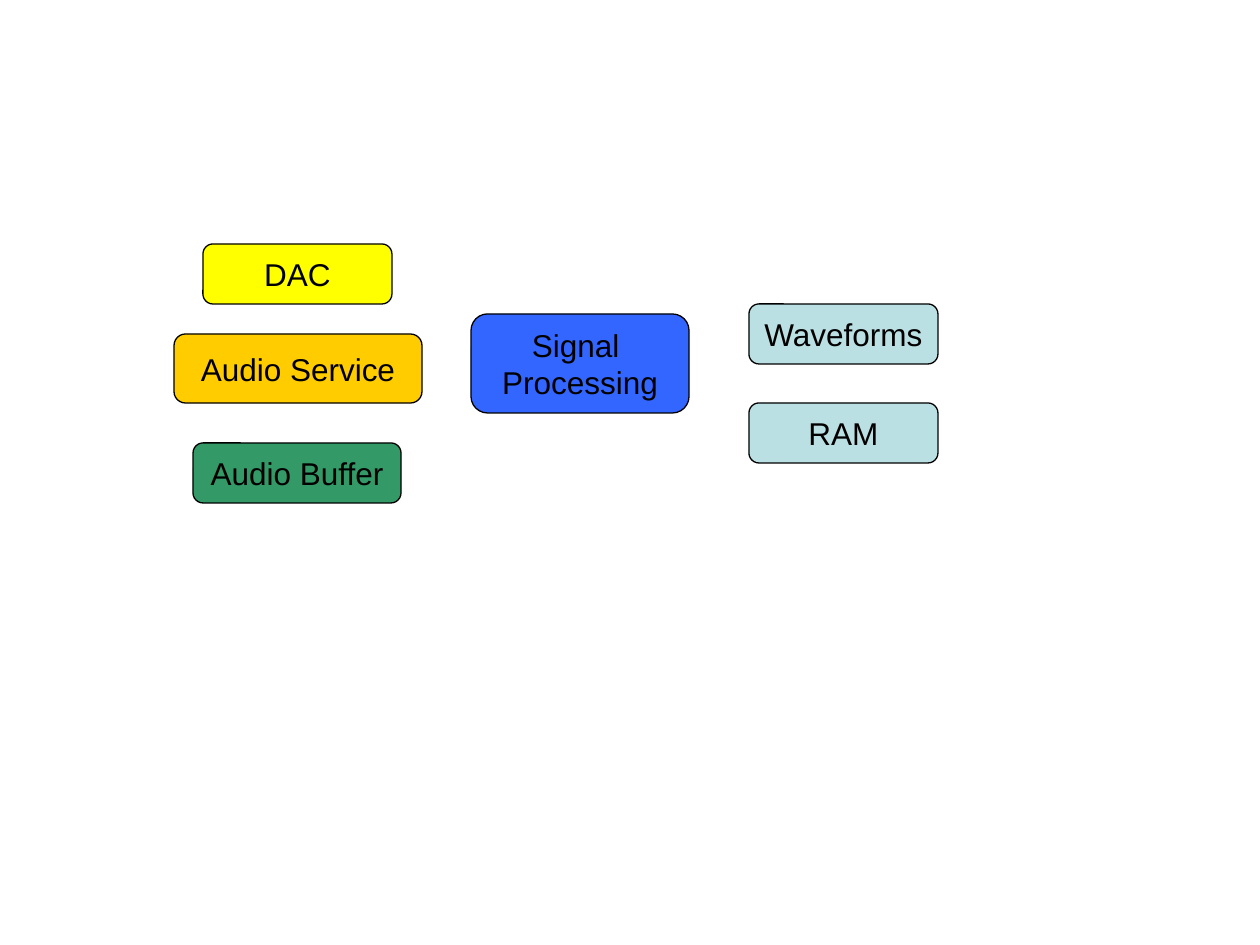
"""Build a slide of audio system blocks."""
from pptx import Presentation
from pptx.dml.color import RGBColor
from pptx.enum import shapes, text
from pptx.util import Pt

PIXEL = 914400 // 126
BLACK = RGBColor(0x00, 0x00, 0x00)
YELLOW = RGBColor(0xFF, 0xFF, 0x00)
PALE_BLUE = RGBColor(0xBB, 0xE0, 0xE3)
ORANGE = RGBColor(0xFF, 0xCC, 0x00)
GREEN = RGBColor(0x33, 0x99, 0x66)
BLUE = RGBColor(0x33, 0x66, 0xFF)

deck = Presentation()
deck.slide_width = 1260 * PIXEL
deck.slide_height = 945 * PIXEL
page = deck.slides.add_slide(deck.slide_layouts[6])

blocks = [
    ("DAC", 203, 244, 189, 60, YELLOW),
    ("Waveforms", 749, 304, 189, 60, PALE_BLUE),
    ("RAM", 749, 403, 189, 60, PALE_BLUE),
    ("Audio Service", 174, 334, 248, 69, ORANGE),
    ("Audio Buffer", 193, 443, 208, 60, GREEN),
    ("Signal \nProcessing", 471, 314, 218, 99, BLUE),
]

for label, left, top, width, height, color in blocks:
    box = page.shapes.add_shape(
        shapes.MSO_SHAPE.ROUNDED_RECTANGLE,
        left * PIXEL, top * PIXEL, width * PIXEL, height * PIXEL)
    box.shadow.inherit = False
    box.fill.solid()
    box.fill.fore_color.rgb = color
    box.line.color.rgb = BLACK
    box.line.width = Pt(0.74)
    frame = box.text_frame
    frame.word_wrap = False
    frame.vertical_anchor = text.MSO_ANCHOR.MIDDLE
    frame.text = label
    for para in frame.paragraphs:
        para.alignment = text.PP_ALIGN.CENTER
        para.font.name = "Arial"
        para.font.size = Pt(18)
        para.font.color.rgb = BLACK

deck.save("out.pptx")
